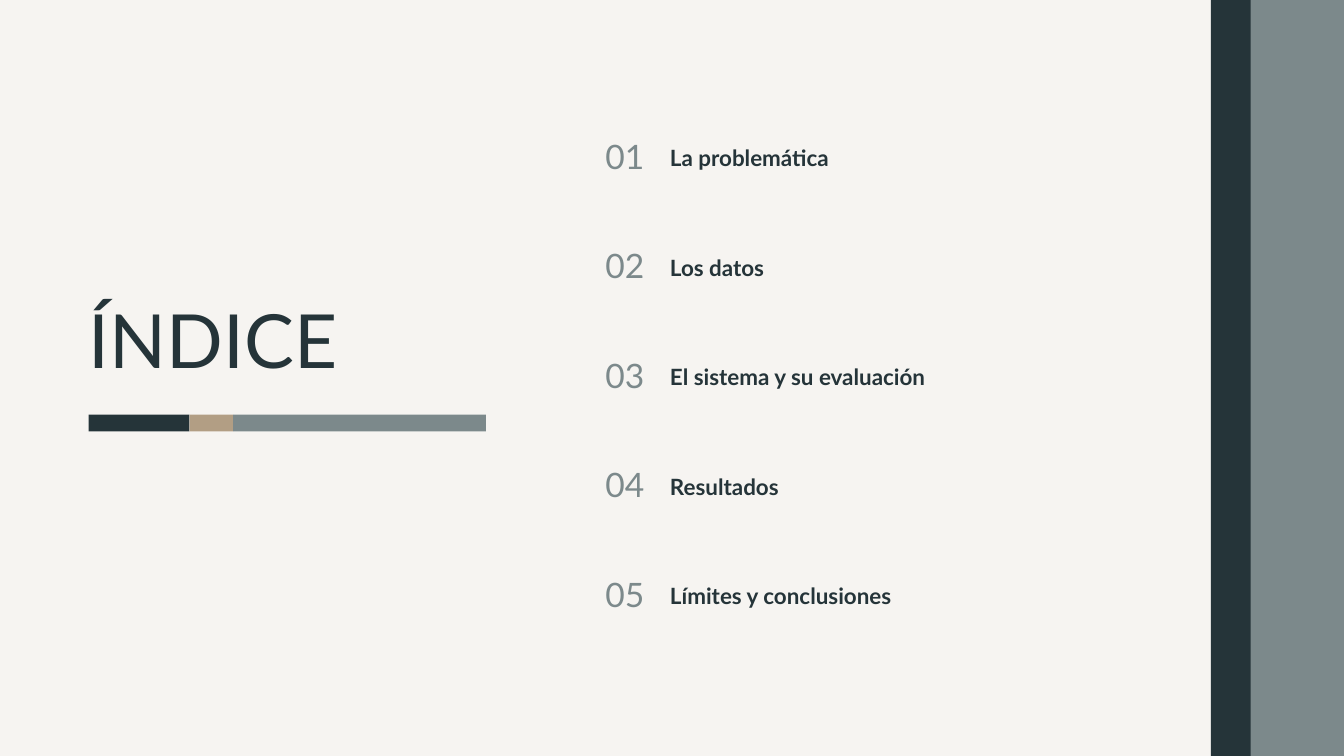
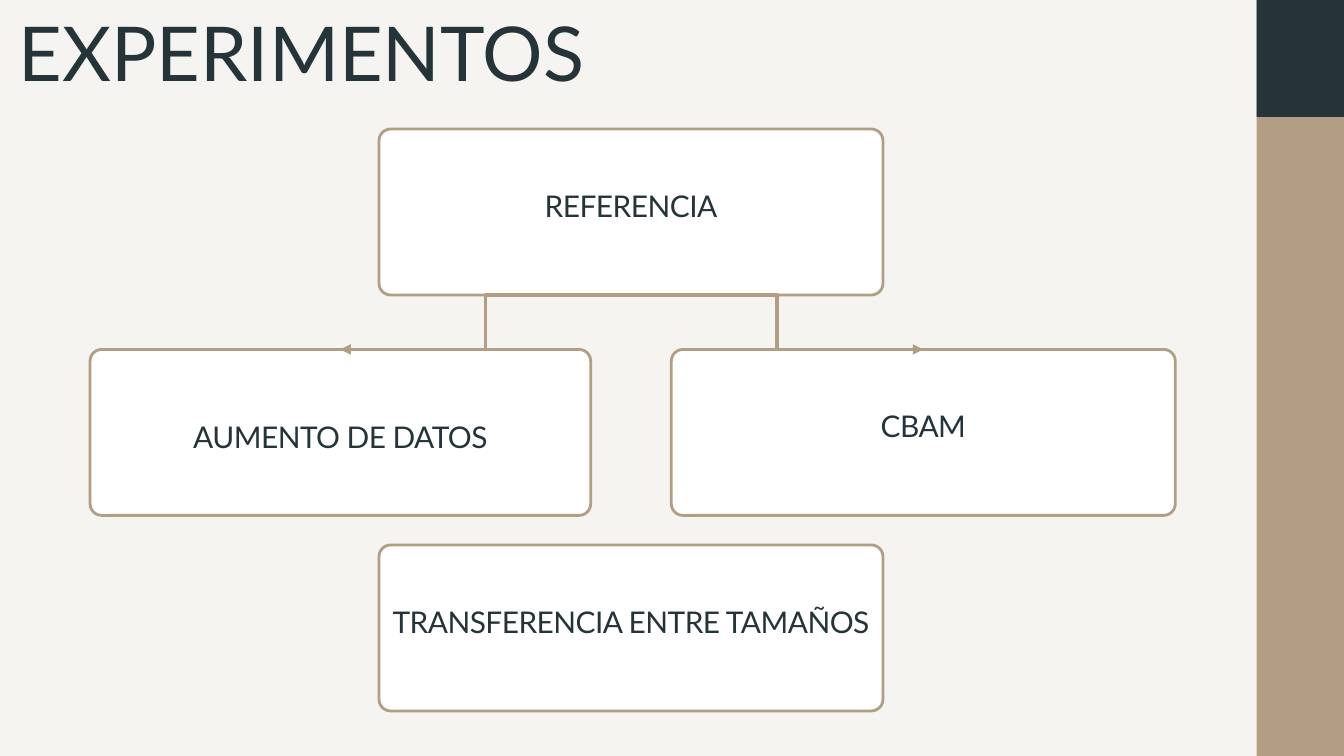
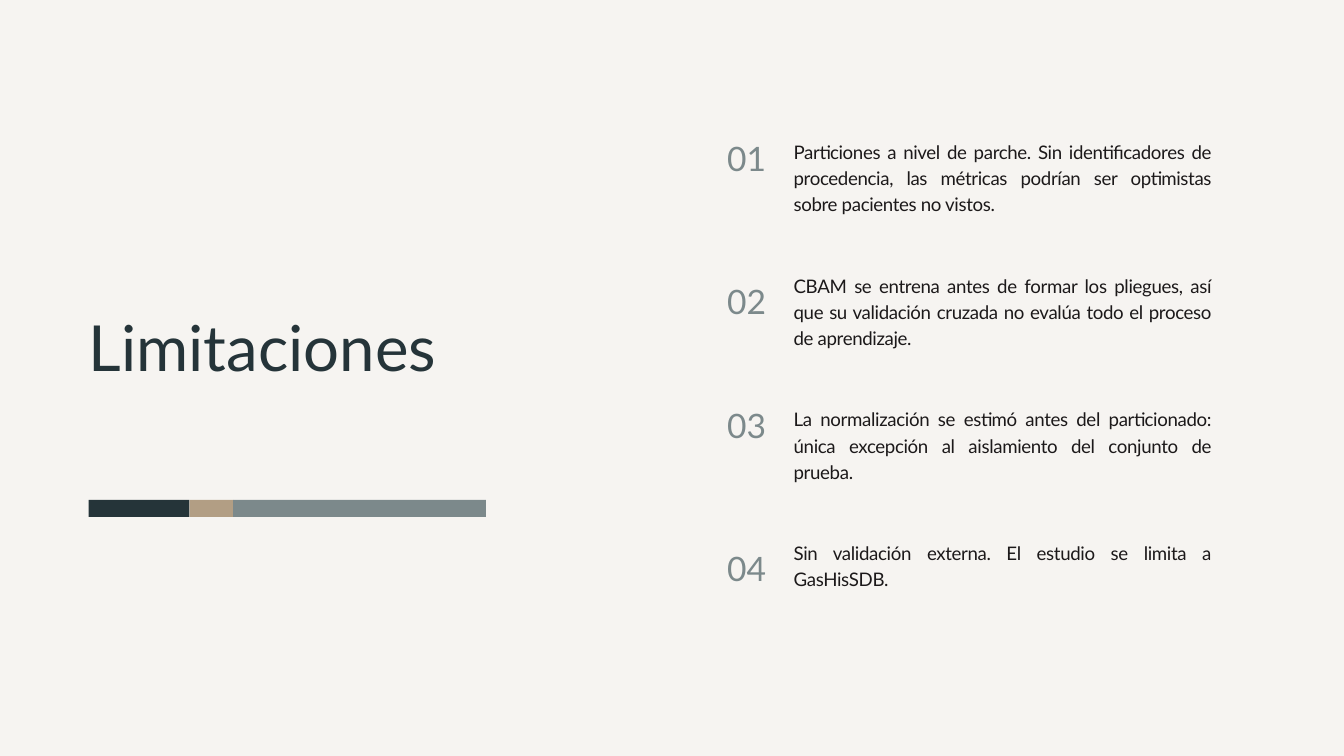
from lxml.etree import SubElement
from pptx import Presentation
from pptx.dml.color import RGBColor
from pptx.enum.shapes import MSO_CONNECTOR, MSO_SHAPE
from pptx.enum.text import MSO_ANCHOR, MSO_AUTO_SIZE, PP_ALIGN
from pptx.oxml.ns import qn
from pptx.util import Inches, Pt

COLUMNS, ROWS = 20, 11.25
FONT = "Lato"
PAPER, WHITE, INK = "F6F4F1", "FFFFFF", "1C191A"
DARK, GREY, SAND = "253439", "7C898B", "B29E84"
MARGIN = 1.32
BAR_PARTS = [(1.5, DARK), (0.65, SAND), (3.76, GREY)]
BOX_HEIGHT = 2.47


def color(hex_string):
    return RGBColor.from_string(hex_string)


def apply(target, values):
    for name, value in values.items():
        setattr(target, name, value)


class Deck:
    def __init__(self):
        self.presentation = Presentation()
        self.presentation.slide_width = Inches(20)
        self.presentation.slide_height = Inches(11.25)
        fill = self.presentation.slide_master.background.fill
        fill.solid()
        fill.fore_color.rgb = color(PAPER)
        self.slide = None

    def start_slide(self):
        layout = self.presentation.slide_layouts.get_by_name("Title Only")
        self.slide = self.presentation.slides.add_slide(layout)

    def across(self, columns):
        return round(self.presentation.slide_width * columns / COLUMNS)

    def down(self, rows):
        return round(self.presentation.slide_height * rows / ROWS)

    def area(self, left, top, width, height):
        return self.across(left), self.down(top), self.across(width), self.down(height)

    def fill_text(self, shape, text, size, ink, spacing, align=PP_ALIGN.LEFT,
                  bold=False, tracking=0, anchor=MSO_ANCHOR.TOP, insets=(0, 0, 0, 0)):
        frame = shape.text_frame
        sides = ("margin_left", "margin_top", "margin_right", "margin_bottom")
        apply(frame, dict(zip(sides, map(Inches, insets))))
        apply(frame, {"word_wrap": True, "auto_size": MSO_AUTO_SIZE.NONE,
                      "vertical_anchor": anchor})
        paragraph = frame.paragraphs[0]
        apply(paragraph, {"alignment": align, "line_spacing": Pt(spacing),
                          "space_before": Pt(0)})
        run = paragraph.add_run()
        run.text = text
        apply(run.font, {"name": FONT, "size": Pt(size), "bold": bold})
        run.font.color.rgb = color(ink)
        if tracking:
            run._r.get_or_add_rPr().set("spc", str(round(tracking * 100)))

    def title(self, text, area, size, spacing, align=PP_ALIGN.LEFT):
        shape = self.slide.shapes.title
        apply(shape, dict(zip(("left", "top", "width", "height"), self.area(*area))))
        self.fill_text(shape, text, size, DARK, spacing, align)

    def text(self, text, area, **style):
        self.fill_text(self.slide.shapes.add_textbox(*self.area(*area)), text, **style)

    def number(self, value, right, top):
        self.text(f"{value:02}", (right - 1.2, top, 1.2, 0.54), size=36, ink=GREY,
                  spacing=36, align=PP_ALIGN.RIGHT)

    def shape(self, kind, area, fill):
        shape = self.slide.shapes.add_shape(kind, *self.area(*area))
        shape.shadow.inherit = False
        shape.fill.solid()
        shape.fill.fore_color.rgb = color(fill)
        shape.line.fill.background()
        return shape

    def band(self, area, fill):
        self.shape(MSO_SHAPE.RECTANGLE, area, fill)

    def tricolor_bar(self, top):
        left = MARGIN
        for width, fill in BAR_PARTS:
            self.band((left, top, width, 0.25), fill)
            left += width

    def box(self, text, left, top, width, spacing=44.8, inset_top=0.06, inset_bottom=0.34):
        area = (left, top, width, BOX_HEIGHT)
        shape = self.shape(MSO_SHAPE.ROUNDED_RECTANGLE, area, WHITE)
        shape.adjustments[0] = 0.07
        shape.line.color.rgb = color(SAND)
        shape.line.width = Pt(3)
        self.fill_text(shape, text, 32, DARK, spacing, PP_ALIGN.CENTER, tracking=-0.6,
                       anchor=MSO_ANCHOR.MIDDLE,
                       insets=(0.06, inset_top, 0.06, inset_bottom))
        return shape

    def elbow_arrow(self, source, target):
        connector = self.slide.shapes.add_connector(
            MSO_CONNECTOR.ELBOW,
            source.left + source.width // 2, source.top + source.height,
            target.left + target.width // 2, target.top)
        connector.line.color.rgb = color(SAND)
        connector.line.width = Pt(3.75)
        properties = connector._element.spPr
        SubElement(properties.get_or_add_ln(), qn("a:tailEnd"), type="triangle")
        SubElement(properties, qn("a:effectLst"))


def index_slide(deck):
    deck.start_slide()
    deck.title("ÍNDICE", (MARGIN, 4.59, 6.68, 1.17), 80, 80)
    deck.tricolor_bar(6.17)
    sections = ["La problemática", "Los datos", "El sistema y su evaluación",
                "Resultados", "Límites y conclusiones"]
    for index, section in enumerate(sections):
        top = 2.12 + 1.63 * index
        deck.number(index + 1, 9.59, top)
        deck.text(section, (9.97, top + 0.06, 4.14, 0.38), size=24, ink=DARK,
                  spacing=26.4, bold=True)
    deck.band((18.46, 0, 1.54, ROWS), GREY)
    deck.band((18.02, 0, 0.59, ROWS), DARK)


def experiments_slide(deck):
    deck.start_slide()
    deck.title("EXPERIMENTOS", (0.28, 0.31, 8.51, 1.19), 81, 81, PP_ALIGN.JUSTIFY)
    reference = deck.box("REFERENCIA", 5.64, 1.92, 7.5)
    attention = deck.box("CBAM", 9.99, 5.2, 7.5)
    augmentation = deck.box("AUMENTO DE DATOS", 1.34, 5.2, 7.45, spacing=32,
                            inset_top=0.26, inset_bottom=0.06)
    deck.box("TRANSFERENCIA ENTRE TAMAÑOS", 5.64, 8.11, 7.5)
    for experiment in (attention, augmentation):
        deck.elbow_arrow(reference, experiment)
    deck.band((18.7, 0, 1.3, ROWS), SAND)
    deck.band((18.7, 0, 1.3, 1.74), DARK)


def limitations_slide(deck):
    deck.start_slide()
    deck.title("Limitaciones", (MARGIN, 4.61, 6.63, 2.27), 68, 80, PP_ALIGN.JUSTIFY)
    deck.tricolor_bar(7.44)
    limitations = [
        "Particiones a nivel de parche. Sin identificadores de procedencia, "
        "las métricas podrían ser optimistas sobre pacientes no vistos.",
        "CBAM se entrena antes de formar los pliegues, así que su validación "
        "cruzada no evalúa todo el proceso de aprendizaje.",
        "La normalización se estimó antes del particionado: única excepción "
        "al aislamiento del conjunto de prueba.",
        "Sin validación externa. El estudio se limita a GasHisSDB.",
    ]
    for index, limitation in enumerate(limitations):
        top = 2.04 + 1.99 * index
        deck.number(index + 1, 11.4, top + (0.25 if index % 2 else 0.11))
        deck.text(limitation, (11.81, top, 6.21, 1.53), size=20, ink=INK, spacing=28,
                  align=PP_ALIGN.JUSTIFY, tracking=-0.4)


def main():
    deck = Deck()
    index_slide(deck)
    experiments_slide(deck)
    limitations_slide(deck)
    deck.presentation.save("out.pptx")


if __name__ == "__main__":
    main()
